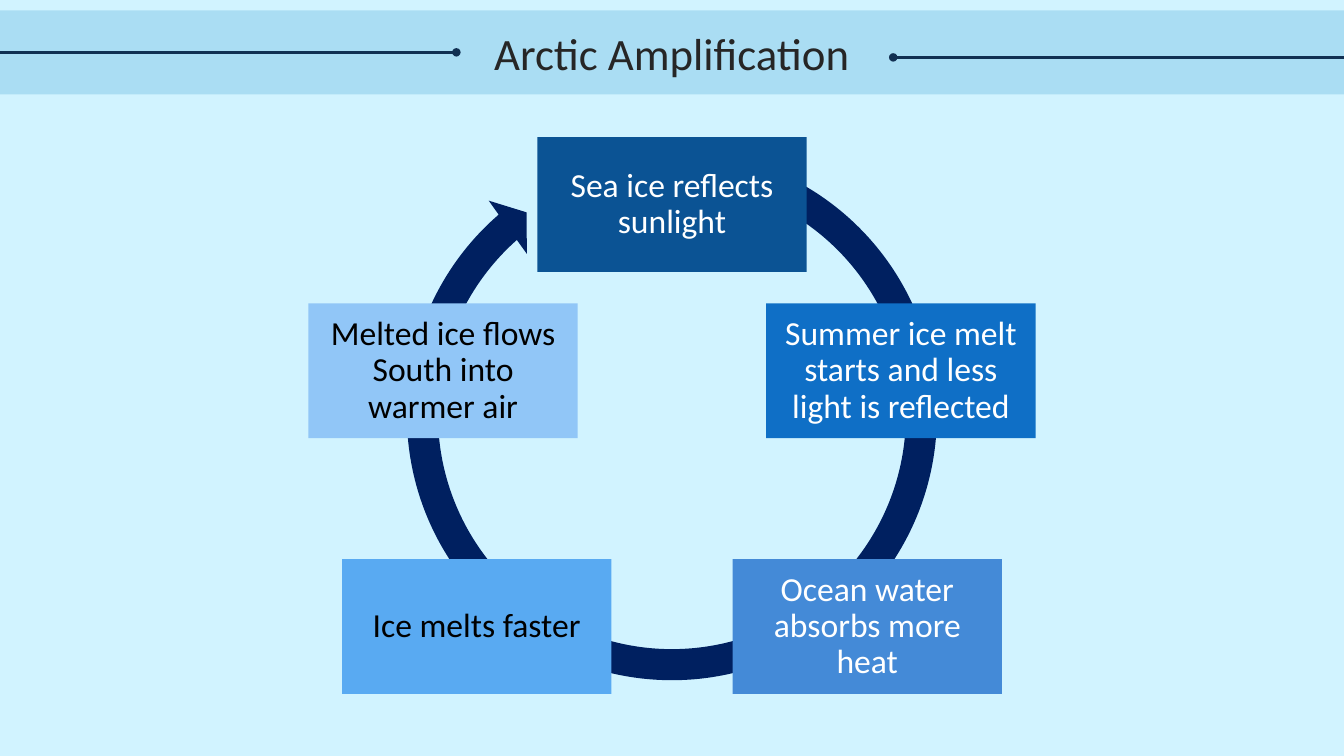
import pptx
import pptx.dml.color
import pptx.enum.shapes
import pptx.enum.text
import pptx.oxml.ns
import pptx.util
from lxml import etree

Pt = pptx.util.Pt
Shapes = pptx.enum.shapes.MSO_SHAPE
Anchor = pptx.enum.text.MSO_ANCHOR
Align = pptx.enum.text.PP_ALIGN
qn = pptx.oxml.ns.qn

COLOURS = {
    "background": "D1F3FF", "band": "2191C9", "title": "262626",
    "rule": "113052", "cycle": "002060", "light": "FFFFFF", "dark": "000000",
    "reflect": "0B5394", "summer": "0F6FC6", "absorb": "448AD7",
    "faster": "59AAF2", "flow": "91C6F7",
}
FONT = "Calibri"
WIDTH, HEIGHT = 960, 540
MIDDLE = WIDTH / 2
BOX_WIDTH, BOX_HEIGHT = 192.4, 96.2

# Offset of the box centre from the slide middle, box top, fill, text colour
STEPS = [
    ("Sea ice reflects sunlight", 0, 98, "reflect", "light"),
    ("Summer ice melt starts and less light is reflected", 163.5, 216.8, "summer", "light"),
    ("Ocean water absorbs more heat", 139.5, 399.5, "absorb", "light"),
    ("Ice melts faster", -139.5, 399.5, "faster", "dark"),
    ("Melted ice flows South into warmer air", -163.5, 216.8, "flow", "dark"),
]


def rgb(name):
    return pptx.dml.color.RGBColor.from_string(COLOURS[name])


def paint(target, name):
    target.fill.solid()
    target.fill.fore_color.rgb = rgb(name)


def write(shape, text, size, colour):
    shape.text_frame.text = text
    shape.text_frame.word_wrap = True
    shape.text_frame.vertical_anchor = Anchor.MIDDLE
    para = shape.text_frame.paragraphs[0]
    para.alignment = Align.CENTER
    para.font.name = FONT
    para.font.size = Pt(size)
    para.font.color.rgb = rgb(colour)
    return para


def add_title(page, text):
    title = page.shapes.title
    title.left, title.top, title.width, title.height = Pt(0), Pt(14.4), Pt(WIDTH), Pt(46)
    paint(title, "band")
    colour = title.fill._xPr.find(qn("a:solidFill"))[0]
    etree.SubElement(colour, qn("a:alpha"), val="22000")
    write(title, text, 32, "title")
    title.text_frame.auto_size = pptx.enum.text.MSO_AUTO_SIZE.SHAPE_TO_FIT_TEXT


def add_rule(page, start, end, y, dot):
    """Draw a level line with a dot at its headEnd or tailEnd."""
    rule = page.shapes.add_connector(
        pptx.enum.shapes.MSO_CONNECTOR.STRAIGHT, Pt(start), Pt(y), Pt(end), Pt(y))
    rule.line.color.rgb = rgb("rule")
    rule.line.width = Pt(2)
    etree.SubElement(rule.line._get_or_add_ln(), qn(f"a:{dot}"), type="oval")
    etree.SubElement(rule._element.spPr, qn("a:effectLst"))


def add_filled(page, kind, left, top, width, height, colour):
    shape = page.shapes.add_shape(kind, Pt(left), Pt(top), Pt(width), Pt(height))
    shape.shadow.inherit = False
    paint(shape, colour)
    shape.line.fill.background()
    return shape


def add_cycle_arrow(page):
    size = 403.2
    arrow = add_filled(page, Shapes.CIRCULAR_ARROW, MIDDLE - size / 2, 95, size, size, "cycle")
    for index, value in enumerate((0.055, 3.307, 137.315, 174.131, 0.058)):
        arrow.adjustments[index] = value


def add_step(page, text, offset, top, fill, colour):
    box = add_filled(page, Shapes.RECTANGLE, MIDDLE + offset - BOX_WIDTH / 2, top,
                     BOX_WIDTH, BOX_HEIGHT, fill)
    frame = box.text_frame
    frame.margin_left = frame.margin_right = Pt(7.2)
    frame.margin_top = frame.margin_bottom = Pt(7.2)
    write(box, text, 24, colour).line_spacing = 0.9


def main():
    deck = pptx.Presentation()
    deck.slide_width, deck.slide_height = Pt(WIDTH), Pt(HEIGHT)
    page = deck.slides.add_slide(deck.slide_layouts[5])
    paint(page.background, "background")
    add_title(page, "Arctic Amplification")
    add_rule(page, 0, 326, 37.4, "tailEnd")
    add_rule(page, 638, WIDTH, 41, "headEnd")
    add_cycle_arrow(page)
    for step in STEPS:
        add_step(page, *step)
    deck.save("out.pptx")


if __name__ == "__main__":
    main()
